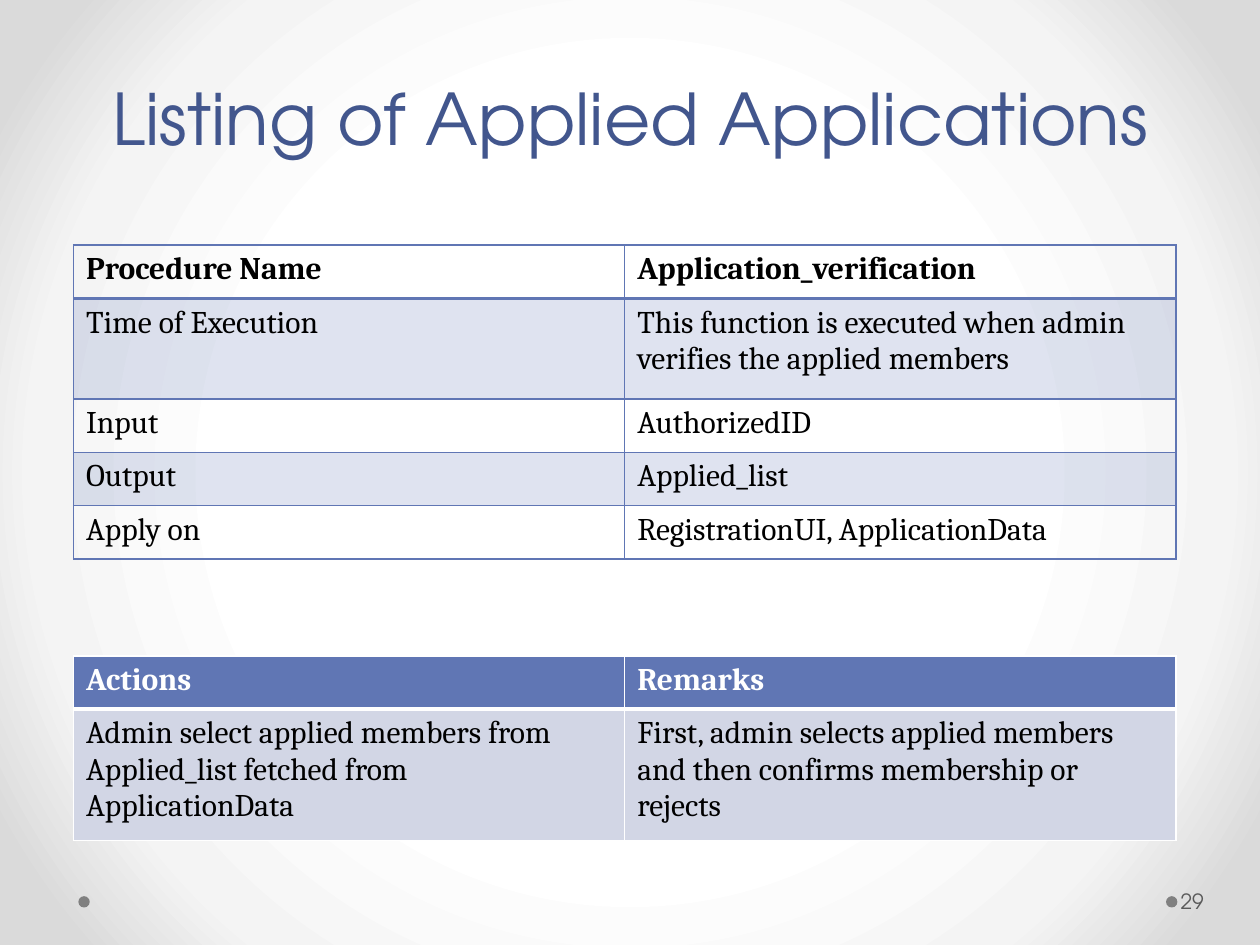
from pptx import Presentation
from pptx.dml.color import RGBColor
from pptx.enum.shapes import MSO_SHAPE
from pptx.enum.text import MSO_ANCHOR, MSO_AUTO_SIZE, PP_ALIGN
from pptx.oxml import parse_xml
from pptx.oxml.ns import nsdecls, qn
from pptx.util import Pt

MIDDLE, CENTER = MSO_ANCHOR.MIDDLE, PP_ALIGN.CENTER
NO_FIT, OVAL = MSO_AUTO_SIZE.NONE, MSO_SHAPE.OVAL
HEADING_FONT, TABLE_FONT = "TeX Gyre Adventor", "Cambria"
COLORS = {
    "title": "42568D", "blue": "6076B4", "pale": "D2D6E5", "dot": "808080",
    "number": "595959", "white": "FFFFFF", "black": "000000",
}
BACKGROUND_STOPS = [(50, "FFFFFF"), (76, "F4F4F4"), (92, "DADADA")]

PROCEDURE_ROWS = [
    ("Procedure Name", "Application_verification"),
    ("Time of Execution",
     "This function is executed when admin verifies the applied members"),
    ("Input", "AuthorizedID"),
    ("Output", "Applied_list"),
    ("Apply on", "RegistrationUI, ApplicationData"),
]
ACTION_ROWS = [
    ("Actions", "Remarks"),
    ("Admin select applied members from Applied_list fetched from ApplicationData",
     "First, admin selects applied members and then confirms membership or rejects"),
]


def rgb(name):
    return RGBColor.from_string(COLORS[name])


def style_font(para, name, size, color, bold=False):
    font = para.font
    font.name, font.size, font.bold = name, Pt(size), bold
    font.color.rgb = rgb(color)


def set_background(page):
    stops = "".join(f'<a:gs pos="{pos * 1000}"><a:srgbClr val="{color}"/></a:gs>'
                    for pos, color in BACKGROUND_STOPS)
    page._element.cSld.insert(0, parse_xml(
        f'<p:bg {nsdecls("p", "a")}><p:bgPr><a:gradFill rotWithShape="1">'
        f'<a:gsLst>{stops}</a:gsLst><a:path path="circle">'
        '<a:fillToRect l="50000" t="50000" r="50000" b="50000"/></a:path>'
        '</a:gradFill><a:effectLst/></p:bgPr></p:bg>'))


def set_borders(cell, color, top, bottom):
    widths = {"lnL": 1, "lnR": 1, "lnT": top, "lnB": bottom}
    properties = cell._tc.get_or_add_tcPr()
    for index, (side, width) in enumerate(widths.items()):
        properties.insert(index, parse_xml(
            f'<a:{side} {nsdecls("a")} w="{Pt(width)}"><a:solidFill>'
            f'<a:srgbClr val="{COLORS[color]}"/></a:solidFill></a:{side}>'))


def fill_cell(cell, color, alpha=100):
    if color is None:
        cell.fill.background()
        return
    cell.fill.solid()
    cell.fill.fore_color.rgb = rgb(color)
    if alpha < 100:
        value = cell._tc.tcPr.find(qn("a:solidFill"))[0]
        value.append(parse_xml(f'<a:alpha {nsdecls("a")} val="{alpha * 1000}"/>'))


def add_grid(page, box, rows, heights, fills, line, header_color, header_line, alpha=100):
    left, top, width = box
    columns = len(rows[0])
    table = page.shapes.add_table(len(rows), columns, Pt(left), Pt(top),
                                  Pt(width), Pt(sum(heights))).table
    table.horz_banding = table.first_row = False
    for column in table.columns:
        column.width = Pt(width / columns)
    for r, (texts, height) in enumerate(zip(rows, heights)):
        table.rows[r].height = Pt(height)
        for c, text in enumerate(texts):
            cell = table.cell(r, c)
            cell.text = text
            style_font(cell.text_frame.paragraphs[0], TABLE_FONT, 18,
                       header_color if r == 0 else "black", r == 0)
            fill_cell(cell, fills[r], alpha)
            set_borders(cell, line, header_line if r == 1 else 1,
                        header_line if r == 0 else 1)


def add_title(page, box, text):
    title = page.shapes.title
    title.left, title.top, title.width, title.height = map(Pt, box)
    frame = title.text_frame
    frame.text, frame.word_wrap, frame.auto_size = text, True, NO_FIT
    frame.vertical_anchor = MIDDLE
    para = frame.paragraphs[0]
    para.alignment = CENTER
    style_font(para, HEADING_FONT, 40.7, "title")


def add_footer(page, box, number):
    left, top, width, height = box
    # Dots at both ends
    for x in (left, left + 621.5):
        dot = page.shapes.add_shape(OVAL, Pt(x), Pt(top + 11.7), Pt(6.5), Pt(6.5))
        dot.shadow.inherit = False
        dot.fill.solid()
        dot.fill.fore_color.rgb = rgb("dot")
        dot.line.fill.background()
    # Page number
    number_width = 44
    label = page.shapes.add_textbox(Pt(left + width - number_width), Pt(top),
                                    Pt(number_width), Pt(height))
    frame = label.text_frame
    frame.text, frame.word_wrap = number, True
    frame.vertical_anchor = MIDDLE
    frame.margin_left, frame.margin_right = Pt(2.2), Pt(3.6)
    style_font(frame.paragraphs[0], HEADING_FONT, 12, "number")


def main():
    deck = Presentation()
    deck.slide_width, deck.slide_height = Pt(720), Pt(540)
    page = deck.slides.add_slide(deck.slide_layouts[5])
    set_background(page)
    add_title(page, (36, 21.6, 648, 90), "Listing of Applied Applications")
    add_grid(page, (42, 140, 630), PROCEDURE_ROWS, [30.5, 57.5, 30.5, 30.5, 30.5],
             [None, "blue", None, "blue", None], "blue", "black", 2, alpha=20)
    add_grid(page, (42, 375, 630), ACTION_ROWS, [30.2, 75],
             ["blue", "pale"], "white", "white", 3)
    add_footer(page, (44.8, 500.4, 671.6, 28.8), "29")
    deck.save("out.pptx")


if __name__ == "__main__":
    main()
